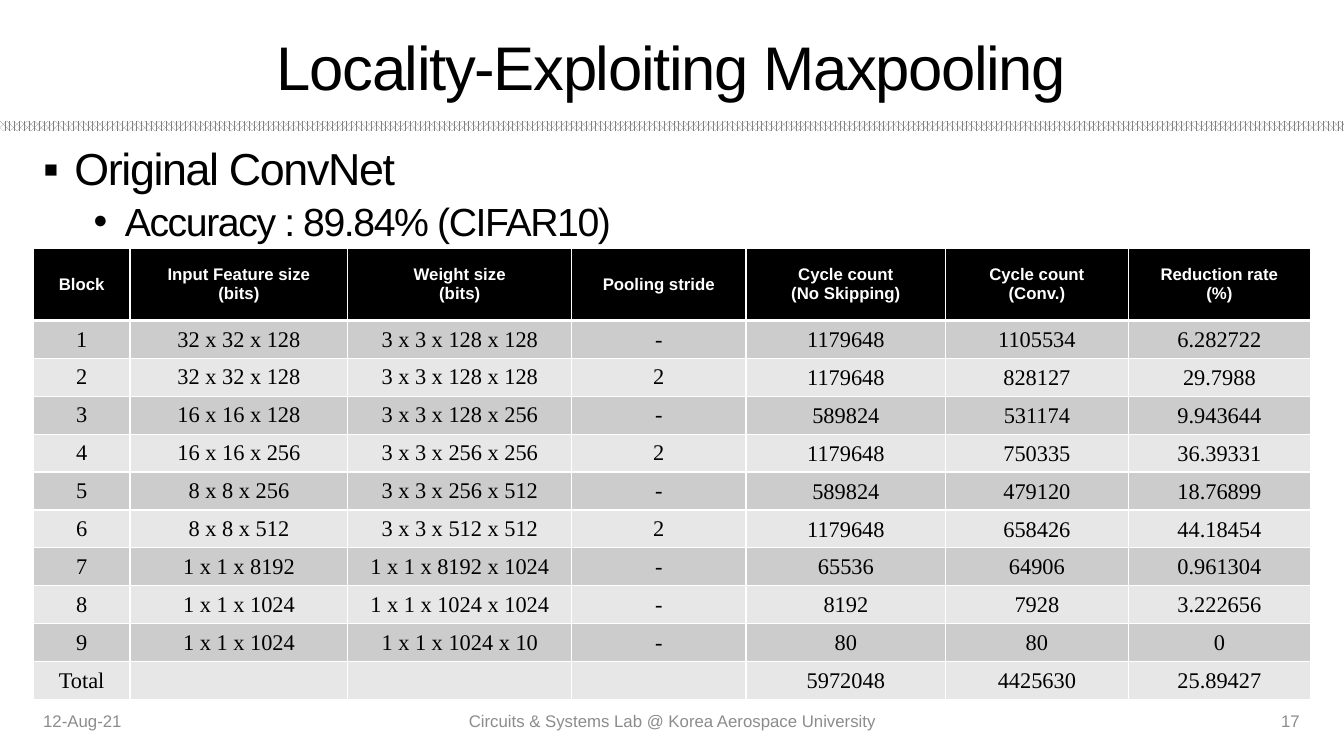
from lxml.etree import SubElement
from pptx import Presentation
from pptx.dml.color import RGBColor
from pptx.enum.dml import MSO_PATTERN
from pptx.enum.shapes import MSO_SHAPE
from pptx.enum.text import MSO_ANCHOR, MSO_AUTO_SIZE, PP_ALIGN
from pptx.oxml.ns import qn
from pptx.util import Inches, Pt

COLORS = {"ink": "000000", "paper": "FFFFFF", "hatch": "808080",
          "footer": "8C8C8C", "odd": "CCCCCC", "even": "E7E7E7"}
LEFT, WIDTH = 0.33, 12.66
FOOTER_TOP, FOOTER_HEIGHT = 6.95, 0.4


def rgb(name):
    return RGBColor.from_string(COLORS[name])


def write(tf, text, size, color="ink", font="Arial", bold=False,
          align=PP_ALIGN.LEFT, anchor=MSO_ANCHOR.MIDDLE, spacing=0):
    tf.word_wrap = True
    tf.vertical_anchor = anchor
    for i, line in enumerate(text.split("\n")):
        p = tf.paragraphs[0] if i == 0 else tf.add_paragraph()
        p.alignment = align
        r = p.add_run()
        r.text = line
        r.font.size = Pt(size)
        r.font.name = font
        r.font.bold = bold
        r.font.color.rgb = rgb(color)
        if spacing:
            r.font._element.set("spc", str(spacing * 100))


prs = Presentation()
prs.slide_width, prs.slide_height = Inches(13.33), Inches(7.5)
slide = prs.slides.add_slide(prs.slide_layouts[5])

rule = slide.shapes.add_shape(MSO_SHAPE.RECTANGLE, 0, Inches(1.2), prs.slide_width, Inches(0.1))
rule.shadow.inherit = False
rule.line.fill.background()
rule.fill.patterned()
rule.fill.pattern = MSO_PATTERN.PERCENT_70
rule.fill.fore_color.rgb = rgb("hatch")
rule.fill.back_color.rgb = rgb("paper")

title = slide.shapes.title
title.left, title.top = Inches(LEFT), Inches(0.22)
title.width, title.height = Inches(WIDTH), Inches(0.87)
title.text_frame.auto_size = MSO_AUTO_SIZE.NONE
write(title.text_frame, "Locality-Exploiting Maxpooling", 44, align=PP_ALIGN.CENTER, spacing=-1)

body = slide.shapes.add_textbox(Inches(LEFT), Inches(1.41), Inches(WIDTH), Inches(5.35))
tf = body.text_frame
write(tf, "Original ConvNet\nAccuracy : 89.84% (CIFAR10)", 32, anchor=MSO_ANCHOR.TOP, spacing=-1)
bullets = [("▪", 32, 0.31, 10), ("•", 28, 0.81, 5)]
for level, (p, (bullet, size, indent, before)) in enumerate(zip(tf.paragraphs, bullets)):
    p.level = level
    p.line_spacing = 0.9
    p.space_before = Pt(before)
    p.runs[0].font.size = Pt(size)
    pPr = p._p.get_or_add_pPr()
    pPr.set("marL", str(Inches(indent)))
    pPr.set("indent", str(-Inches(0.31)))
    SubElement(pPr, qn("a:buFont"), typeface="Arial")
    SubElement(pPr, qn("a:buChar"), char=bullet)

footers = [
    ("12-Aug-21", LEFT, 3, PP_ALIGN.LEFT),
    ("Circuits & Systems Lab @ Korea Aerospace University", 4.42, 4.5, PP_ALIGN.CENTER),
    ("17", 9.95, 3.04, PP_ALIGN.RIGHT),
]
for text, left, width, align in footers:
    sp = slide.shapes.add_textbox(Inches(left), Inches(FOOTER_TOP), Inches(width), Inches(FOOTER_HEIGHT))
    write(sp.text_frame, text, 12, color="footer", align=align)

COLUMNS = [0.96, 2.16, 2.22, 1.73, 1.98, 1.81, 1.81]
HEADER_HEIGHT, ROW_HEIGHT = 0.72, 0.376
FIRST_COUNT_COLUMN = 4
ROWS = [
    ("Block", "Input Feature size\n(bits)", "Weight size\n(bits)", "Pooling stride",
     "Cycle count\n(No Skipping)", "Cycle count\n(Conv.)", "Reduction rate\n(%)"),
    ("1", "32 x 32 x 128", "3 x 3 x 128 x 128", "-", "1179648", "1105534", "6.282722"),
    ("2", "32 x 32 x 128", "3 x 3 x 128 x 128", "2", "1179648", "828127", "29.7988"),
    ("3", "16 x 16 x 128", "3 x 3 x 128 x 256", "-", "589824", "531174", "9.943644"),
    ("4", "16 x 16 x 256", "3 x 3 x 256 x 256", "2", "1179648", "750335", "36.39331"),
    ("5", "8 x 8 x 256", "3 x 3 x 256 x 512", "-", "589824", "479120", "18.76899"),
    ("6", "8 x 8 x 512", "3 x 3 x 512 x 512", "2", "1179648", "658426", "44.18454"),
    ("7", "1 x 1 x 8192", "1 x 1 x 8192 x 1024", "-", "65536", "64906", "0.961304"),
    ("8", "1 x 1 x 1024", "1 x 1 x 1024 x 1024", "-", "8192", "7928", "3.222656"),
    ("9", "1 x 1 x 1024", "1 x 1 x 1024 x 10", "-", "80", "80", "0"),
    ("Total", "", "", "", "5972048", "4425630", "25.89427"),
]
height = HEADER_HEIGHT + ROW_HEIGHT * (len(ROWS) - 1)
table = slide.shapes.add_table(len(ROWS), len(COLUMNS), Inches(LEFT), Inches(2.46),
                               Inches(WIDTH), Inches(height)).table
for column, width in zip(table.columns, COLUMNS):
    column.width = Inches(width)
for i, values in enumerate(ROWS):
    header = i == 0
    table.rows[i].height = Inches(HEADER_HEIGHT if header else ROW_HEIGHT)
    for j, text in enumerate(values):
        cell = table.cell(i, j)
        if header:
            write(cell.text_frame, text, 12, color="paper", bold=True, align=PP_ALIGN.CENTER)
        else:
            write(cell.text_frame, text, 16, font="Times New Roman", align=PP_ALIGN.CENTER)
            if j >= FIRST_COUNT_COLUMN or not text:
                cell.margin_left = cell.margin_right = cell.margin_top = Inches(0.01)
                cell.margin_bottom = 0
        cell.vertical_anchor = MSO_ANCHOR.MIDDLE
        tcPr = cell._tc.get_or_add_tcPr()
        for side in ("L", "R", "T", "B"):
            thick = (header and side == "B") or (i == 1 and side == "T")
            ln = SubElement(tcPr, qn(f"a:ln{side}"), w=str(Pt(3 if thick else 1)))
            SubElement(SubElement(ln, qn("a:solidFill")), qn("a:srgbClr"), val=COLORS["paper"])
        cell.fill.solid()
        cell.fill.fore_color.rgb = rgb("ink" if header else "odd" if i % 2 else "even")

prs.save("out.pptx")
